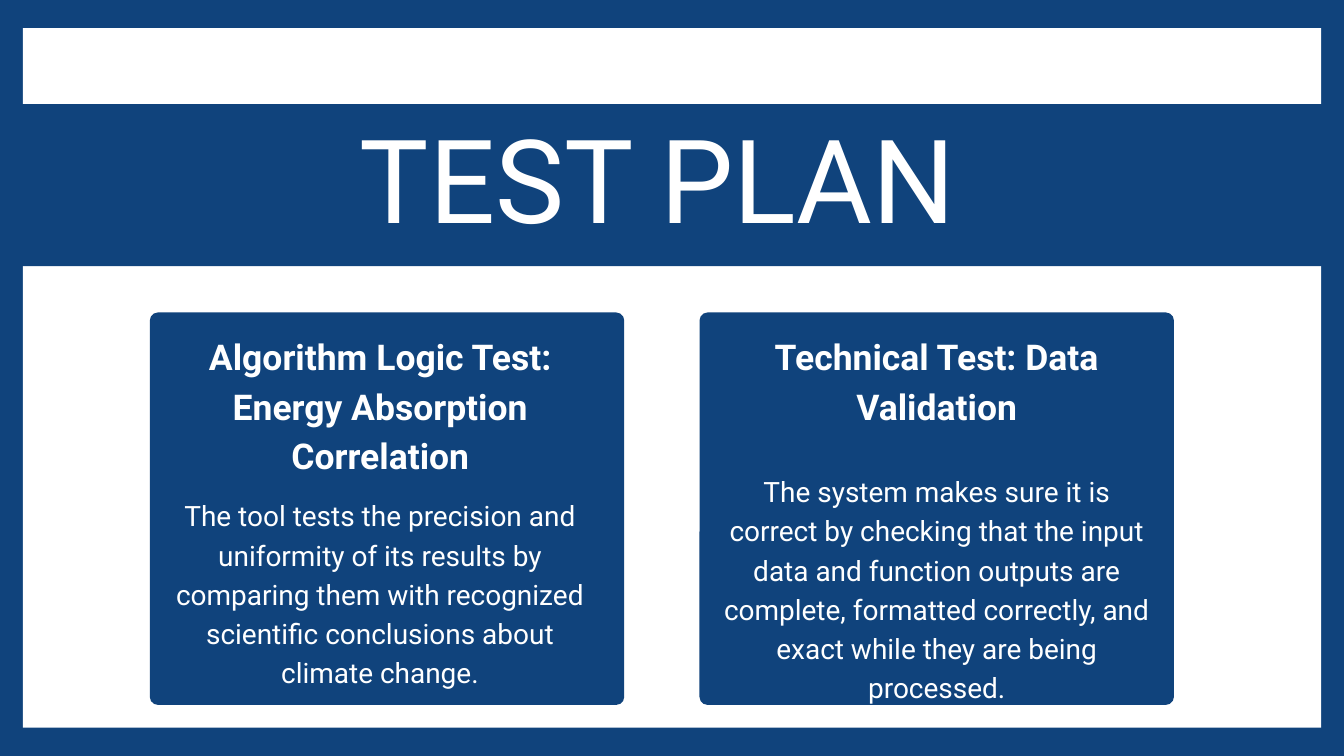
from pptx import Presentation
from pptx.dml.color import RGBColor
from pptx.enum.shapes import MSO_SHAPE
from pptx.enum.text import PP_ALIGN
from pptx.util import Inches, Pt

BLUE = "10437C"
WHITE = "FFFFFF"
FONT = "Roboto"


def color(value):
    return RGBColor.from_string(value)


class SlideBuilder:
    """Holds the style and the current slide."""

    def __init__(self, slide, font):
        self.slide = slide
        self.font = font

    def background(self, fill):
        self.slide.background.fill.solid()
        self.slide.background.fill.fore_color.rgb = color(fill)

    def panel(self, left, top, width, height, fill, radius=0):
        kind = MSO_SHAPE.ROUNDED_RECTANGLE if radius else MSO_SHAPE.RECTANGLE
        shape = self.slide.shapes.add_shape(
            kind, Inches(left), Inches(top), Inches(width), Inches(height))
        if radius:
            shape.adjustments[0] = radius / min(width, height)
        shape.shadow.inherit = False
        shape.fill.solid()
        shape.fill.fore_color.rgb = color(fill)
        shape.line.fill.background()

    def text(self, left, top, width, height, words, size, spacing, bold=False):
        box = self.slide.shapes.add_textbox(
            Inches(left), Inches(top), Inches(width), Inches(height))
        frame = box.text_frame
        frame.word_wrap = True
        frame.margin_left = frame.margin_right = 0
        frame.margin_top = frame.margin_bottom = 0
        paragraph = frame.paragraphs[0]
        paragraph.text = words
        paragraph.alignment = PP_ALIGN.CENTER
        paragraph.line_spacing = Pt(spacing)
        paragraph.font.name = self.font
        paragraph.font.size = Pt(size)
        paragraph.font.bold = bold
        paragraph.font.color.rgb = color(WHITE)


def main():
    presentation = Presentation()
    presentation.slide_width = Inches(20)
    presentation.slide_height = Inches(11.25)
    slide = presentation.slides.add_slide(presentation.slide_layouts[6])
    builder = SlideBuilder(slide, FONT)

    # Blue frame around a white page
    builder.background(BLUE)
    builder.panel(0.34, 0.42, 19.32, 10.41, WHITE)

    # Title band
    builder.panel(-0.5, 1.55, 21, 2.41, BLUE)
    builder.text(3.61, 1.93, 12.79, 1.87, "TEST PLAN ", 124.6, 125.8)

    # Test cards: card left, heading left, heading, body box, body
    cards = [
        (2.23, 2.23, "Algorithm Logic Test: Energy Absorption Correlation",
         (2.56, 7.34, 6.19, 2.83),
         "The tool tests the precision and uniformity of its results by "
         "comparing them with recognized scientific conclusions about "
         "climate change."),
        (10.41, 10.51, "Technical Test: Data Validation",
         (10.67, 6.98, 6.54, 2.9),
         "The system makes sure it is correct by checking that the input data "
         "and function outputs are complete, formatted correctly, and exact "
         "while they are being processed."),
    ]
    for card_left, heading_left, heading, body_box, body in cards:
        builder.panel(card_left, 4.65, 7.06, 5.84, BLUE, radius=0.12)
        builder.text(heading_left, 4.88, 6.86, 2.17, heading, 38, 53.2, bold=True)
        builder.text(*body_box, body, 30, 42)

    presentation.save("out.pptx")


if __name__ == "__main__":
    main()
